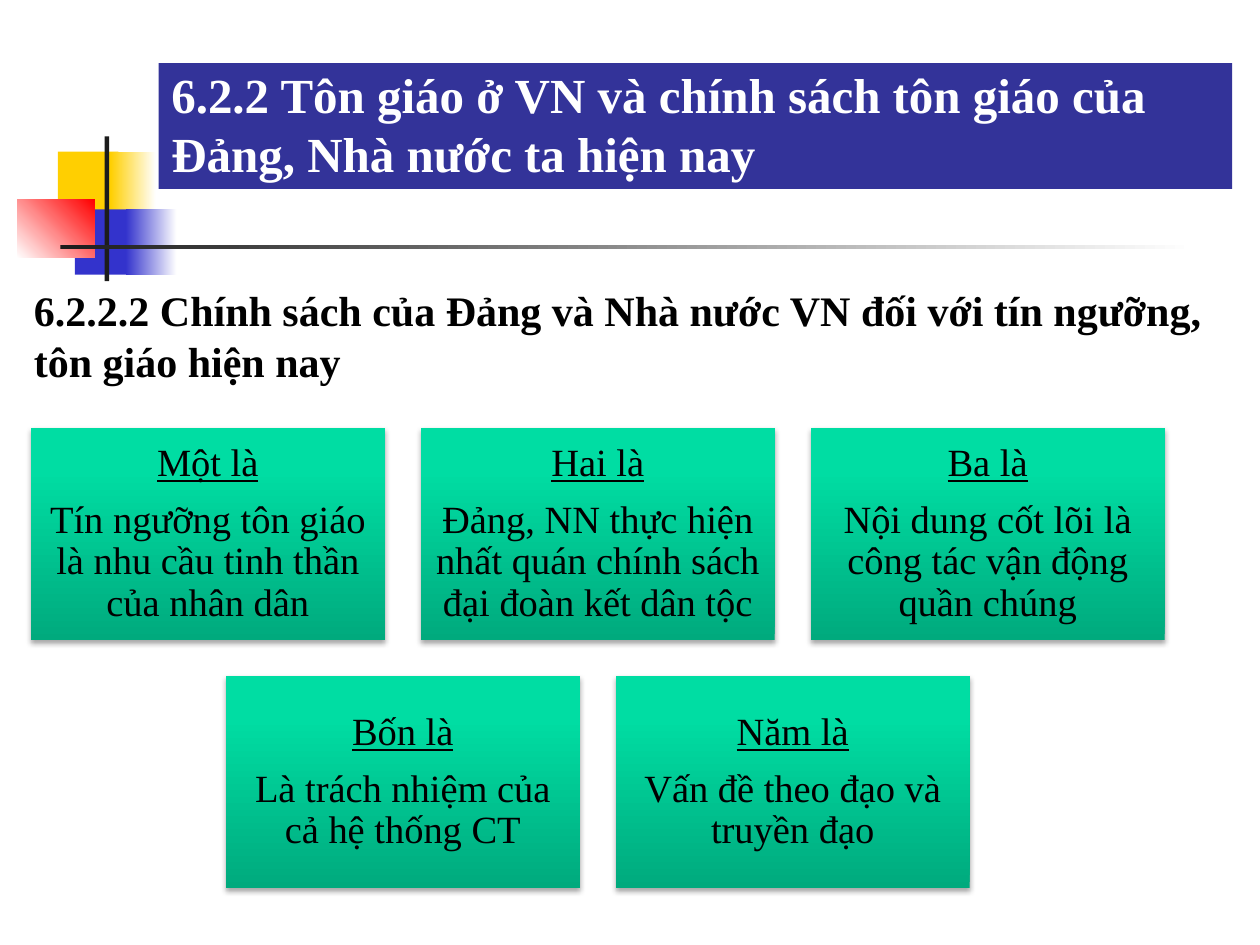
from copy import deepcopy

from lxml.etree import SubElement
from pptx import Presentation
from pptx.dml.color import RGBColor
from pptx.enum.shapes import MSO_SHAPE
from pptx.enum.text import MSO_ANCHOR, MSO_AUTO_SIZE, PP_ALIGN
from pptx.oxml.ns import qn
from pptx.util import Cm, Pt

WHITE = RGBColor(0xFF, 0xFF, 0xFF)
BLACK = RGBColor(0x00, 0x00, 0x00)
CHARCOAL = RGBColor(0x1C, 0x1C, 0x1C)
YELLOW = RGBColor(0xFF, 0xCF, 0x01)
BLUE = RGBColor(0x33, 0x33, 0xCC)
RED = RGBColor(0xFF, 0x00, 0x00)
INDIGO = RGBColor(0x33, 0x33, 0x99)
CARD_STOPS = [
    (0, RGBColor(0x00, 0xAA, 0x7D)),
    (0.8, RGBColor(0x00, 0xDD, 0xA3)),
    (1, RGBColor(0x00, 0xDE, 0xA4)),
]


def add_block(left, top, width, height, stops, angle=0):
    """Add a rectangle, solid for one stop and graded for several."""
    shape = slide.shapes.add_shape(
        MSO_SHAPE.RECTANGLE, Cm(left), Cm(top), Cm(width), Cm(height))
    shape.shadow.inherit = False
    shape.line.fill.background()
    if len(stops) == 1:
        shape.fill.solid()
        shape.fill.fore_color.rgb = stops[0][1]
        return shape
    shape.fill.gradient()
    shape.fill.gradient_angle = angle
    stop_list = next(shape._element.spPr.iter(qn("a:gsLst")))
    while len(stop_list) < len(stops):
        stop_list.append(deepcopy(stop_list[-1]))
    for stop, (position, color) in zip(shape.fill.gradient_stops, stops):
        stop.position = position
        stop.color.rgb = color
    return shape


def write_paragraph(paragraph, text, size, color, **formats):
    paragraph.text = text
    paragraph.font.color.rgb = color
    formats = {"name": "Times New Roman", "size": Pt(size), **formats}
    for name, value in formats.items():
        setattr(paragraph.font, name, value)


presentation = Presentation()
presentation.slide_width = Cm(25.4)
presentation.slide_height = Cm(19.05)
slide = presentation.slides.add_slide(presentation.slide_layouts[1])

# Coloured squares and crossing bars
decorations = [
    (1.17, 3.06, 1.22, 1.32, [(0, YELLOW)], 0),
    (2.23, 3.06, 0.91, 1.32, [(0, YELLOW), (1, WHITE)], 0),
    (1.51, 4.22, 1.17, 1.32, [(0, BLUE)], 0),
    (2.54, 4.22, 1.02, 1.32, [(0, BLUE), (1, WHITE)], 0),
    (0.35, 4.02, 1.56, 1.18, [(0, WHITE), (1, RED)], 45),
    (2.11, 2.75, 0.09, 2.92, [(0, CHARCOAL)], 0),
    (1.22, 4.94, 22.86, 0.09, [(0, CHARCOAL), (1, WHITE)], 0),
]
for decoration in decorations:
    add_block(*decoration)

# Subheading and title, in front of the decorations
title = slide.shapes.title
body = slide.placeholders[1]
title.fill.solid()
title.fill.fore_color.rgb = INDIGO
placeholders = [
    (body, (0.43, 5.61, 24.46, 12.8), MSO_ANCHOR.TOP, 24, BLACK,
     "6.2.2.2 Chính sách của Đảng và Nhà nước VN đối với tín ngưỡng, tôn giáo hiện nay"),
    (title, (3.2, 1.27, 21.64, 2.54), MSO_ANCHOR.BOTTOM, 28, WHITE,
     "6.2.2 Tôn giáo ở VN và chính sách tôn giáo của Đảng, Nhà nước ta hiện nay"),
]
for shape, box, anchor, size, color, text in placeholders:
    slide.shapes._spTree.append(shape._element)
    for side, value in zip(("left", "top", "width", "height"), box):
        setattr(shape, side, Cm(value))
    frame = shape.text_frame
    frame.word_wrap = True
    frame.auto_size = MSO_AUTO_SIZE.NONE
    frame.vertical_anchor = anchor
    paragraph = frame.paragraphs[0]
    paragraph.alignment = PP_ALIGN.LEFT
    paragraph.space_before = Pt(0)
    properties = paragraph._p.get_or_add_pPr()
    properties.set("marL", "0")
    properties.set("indent", "0")
    SubElement(properties, qn("a:buNone"))
    write_paragraph(paragraph, text, size, color, bold=True)

# Policy cards: three above, two centred below
CARD_LEFT, CARD_TOP = 0.62, 8.62
CARD_WIDTH, CARD_HEIGHT = 7.14, 4.29
COLUMN_PITCH, ROW_PITCH = 7.86, 5
card_rows = [
    [("Một là", "Tín ngưỡng tôn giáo là nhu cầu tinh thần của nhân dân"),
     ("Hai là", "Đảng, NN thực hiện nhất quán chính sách đại đoàn kết dân tộc"),
     ("Ba là", "Nội dung cốt lõi là công tác vận động quần chúng")],
    [("Bốn là", "Là trách nhiệm của cả hệ thống CT"),
     ("Năm là", "Vấn đề theo đạo và truyền đạo")],
]
for row, cards in enumerate(card_rows):
    for column, (heading, policy) in enumerate(cards):
        card = add_block(
            CARD_LEFT + (column + row / 2) * COLUMN_PITCH,
            CARD_TOP + row * ROW_PITCH,
            CARD_WIDTH, CARD_HEIGHT, CARD_STOPS, 90)

        # Soft shadow below the card
        effects = card._element.spPr.find(qn("a:effectLst"))
        shadow = SubElement(
            effects, qn("a:outerShdw"), blurRad=str(Pt(3.1)),
            dist=str(Pt(1.8)), dir="5400000", rotWithShape="0")
        shadow_color = SubElement(shadow, qn("a:srgbClr"), val="000000")
        SubElement(shadow_color, qn("a:alpha"), val="35000")

        # Underlined heading over the policy
        frame = card.text_frame
        frame.word_wrap = True
        frame.vertical_anchor = MSO_ANCHOR.MIDDLE
        for side in ("left", "top", "right", "bottom"):
            setattr(frame, f"margin_{side}", Cm(0.23))
        first, second = frame.paragraphs[0], frame.add_paragraph()
        for paragraph in (first, second):
            paragraph.alignment = PP_ALIGN.CENTER
            paragraph.line_spacing = 0.9
        first.space_after = Pt(8.8)
        write_paragraph(first, heading, 22, BLACK, underline=True)
        write_paragraph(second, policy, 22, BLACK)

presentation.save("out.pptx")
